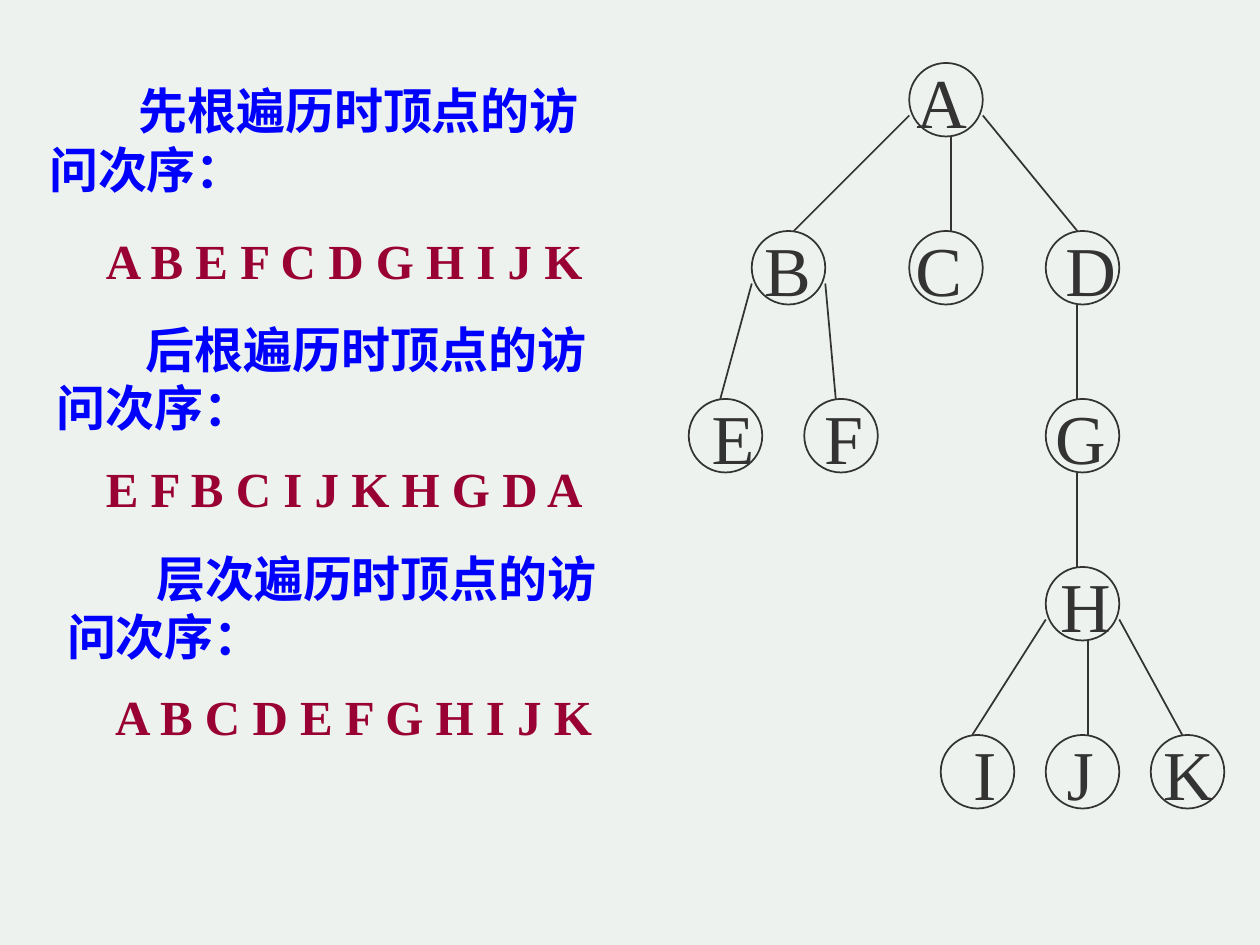
from dataclasses import dataclass

from pptx import Presentation
from pptx.dml.color import RGBColor
from pptx.enum.shapes import MSO_CONNECTOR as CONN, MSO_SHAPE as SHAPE
from pptx.enum.text import MSO_AUTO_SIZE as AUTO
from pptx.oxml.ns import qn
from pptx.util import Emu, Pt
from lxml.etree import SubElement

PX = 7620  # EMU per px, 120 px to the inch


@dataclass(frozen=True)
class Theme:
    background: RGBColor = RGBColor(0xEE, 0xF2, 0xEE)
    ink: RGBColor = RGBColor(0x33, 0x33, 0x33)
    heading: RGBColor = RGBColor(0x00, 0x00, 0xFF)
    order: RGBColor = RGBColor(0x99, 0x00, 0x33)
    font: str = "Times New Roman"
    body_size: int = 28
    node_size: int = 40
    line_width: int = 1


def px(*values):
    return [Emu(v * PX) for v in values]


class Canvas:
    def __init__(self, slide, theme):
        self.s, self.theme = slide, theme
        fill = slide.background.fill
        fill.solid()
        fill.fore_color.rgb = theme.background

    def _outline(self, sp):
        sp.line.color.rgb = self.theme.ink
        sp.line.width = Pt(self.theme.line_width)

    def circle(self, left, top, size):
        sp = self.s.shapes.add_shape(SHAPE.OVAL, *px(left, top, size, size))
        sp.shadow.inherit = False
        sp.fill.background()
        self._outline(sp)

    def line(self, x1, y1, x2, y2):
        sp = self.s.shapes.add_connector(CONN.STRAIGHT, *px(x1, y1, x2, y2))
        self._outline(sp)
        SubElement(sp._element.spPr, qn("a:effectLst"))

    def text_box(self, box, wrap=True):
        tf = self.s.shapes.add_textbox(*px(*box)).text_frame
        tf.word_wrap = wrap
        tf.auto_size = AUTO.SHAPE_TO_FIT_TEXT
        return tf

    def run(self, p, text, size, color, bold=False):
        r = p.add_run()
        r.text = text
        r.font.color.rgb = color
        style = {"name": self.theme.font, "size": Pt(size), "bold": bold}
        for name, value in style.items():
            setattr(r.font, name, value)

    def paragraph(self, box, text, color, indent=0, wrap=True):
        p = self.text_box(box, wrap).paragraphs[0]
        p._p.get_or_add_pPr().set("indent", str(indent * PX))
        self.run(p, text, self.theme.body_size, color, bold=True)

    def tabbed_rows(self, box, rows, gap):
        """Write each row's letters at its own tab stops; stop 0 is the margin."""
        tf = self.text_box(box)
        for i, row in enumerate(rows):
            p = tf.add_paragraph() if i else tf.paragraphs[0]
            p.space_before = Pt(gap if i else 0)
            tabs = SubElement(p._p.get_or_add_pPr(), qn("a:tabLst"))
            for stop in filter(None, row.values()):
                SubElement(tabs, qn("a:tab"), pos=str(stop * PX), algn="l")
            text = "".join("\t" * bool(stop) + name for name, stop in row.items())
            self.run(p, text, self.theme.node_size, self.theme.ink)


NODE = 70            # circle diameter
SIDE = 50            # height at which slanted edges leave a circle
ROW_TOP, ROW_STEP = 60, 160

# name: (left, row)
NODES = {
    "A": (866, 0),
    "B": (716, 1), "C": (866, 1), "D": (996, 1),
    "E": (656, 2), "F": (766, 2), "G": (996, 2),
    "H": (996, 3),
    "J": (996, 4), "I": (896, 4), "K": (1096, 4),
}

# parent, child, where the edge meets the child, from its left
EDGES = [
    ("A", "C", 40), ("A", "B", 40), ("A", "D", 30),
    ("B", "E", 30), ("B", "F", 30),
    ("D", "G", 30), ("G", "H", 30),
    ("H", "J", 40), ("H", "I", 30), ("H", "K", 30),
]

# tab stop of each letter, row by row
LETTERS = [
    {"A": 195},
    {"B": 50, "C": 194, "D": 337},
    {"E": 0, "F": 107, "G": 327},
    {"H": 332},
    {"I": 249, "J": 338, "K": 430},
]

# heading, its box, visiting order, left and top of the order
TRAVERSALS = [
    ("先根遍历时顶点的访问次序：", (35, 71, 556, 124), "A B E F C D G H I J K", (89, 214)),
    ("后根遍历时顶点的访问次序：", (42, 298, 565, 124), "E F B C I J K H G D A", (89, 431)),
    ("层次遍历时顶点的访问次序：", (52, 516, 558, 124), "A B C D E F G H I J K", (98, 648)),
]


def node_corner(name):
    left, row = NODES[name]
    return left, ROW_TOP + row * ROW_STEP


def draw_edge(canvas, parent, child, offset):
    """Leave the parent from below if the child is under it, else from a side."""
    left, top = node_corner(parent)
    child_left, child_top = node_corner(child)
    end = child_left + offset
    if child_left == left:
        start = end, top + NODE
    else:
        start = (left if child_left < left else left + NODE), top + SIDE
    canvas.line(*start, end, child_top)


def main():
    prs = Presentation()
    prs.slide_width, prs.slide_height = px(1200, 900)
    theme = Theme()
    canvas = Canvas(prs.slides.add_slide(prs.slide_layouts[6]), theme)

    canvas.tabbed_rows((666, 50, 504, 732), LETTERS, gap=48)
    for name in NODES:
        canvas.circle(*node_corner(name), NODE)
    for edge in EDGES:
        draw_edge(canvas, *edge)
    for heading, box, order, corner in TRAVERSALS:
        canvas.paragraph(box, heading, theme.heading, indent=85)
        canvas.paragraph((*corner, 482, 68), order, theme.order, wrap=False)

    prs.save("out.pptx")


if __name__ == "__main__":
    main()
